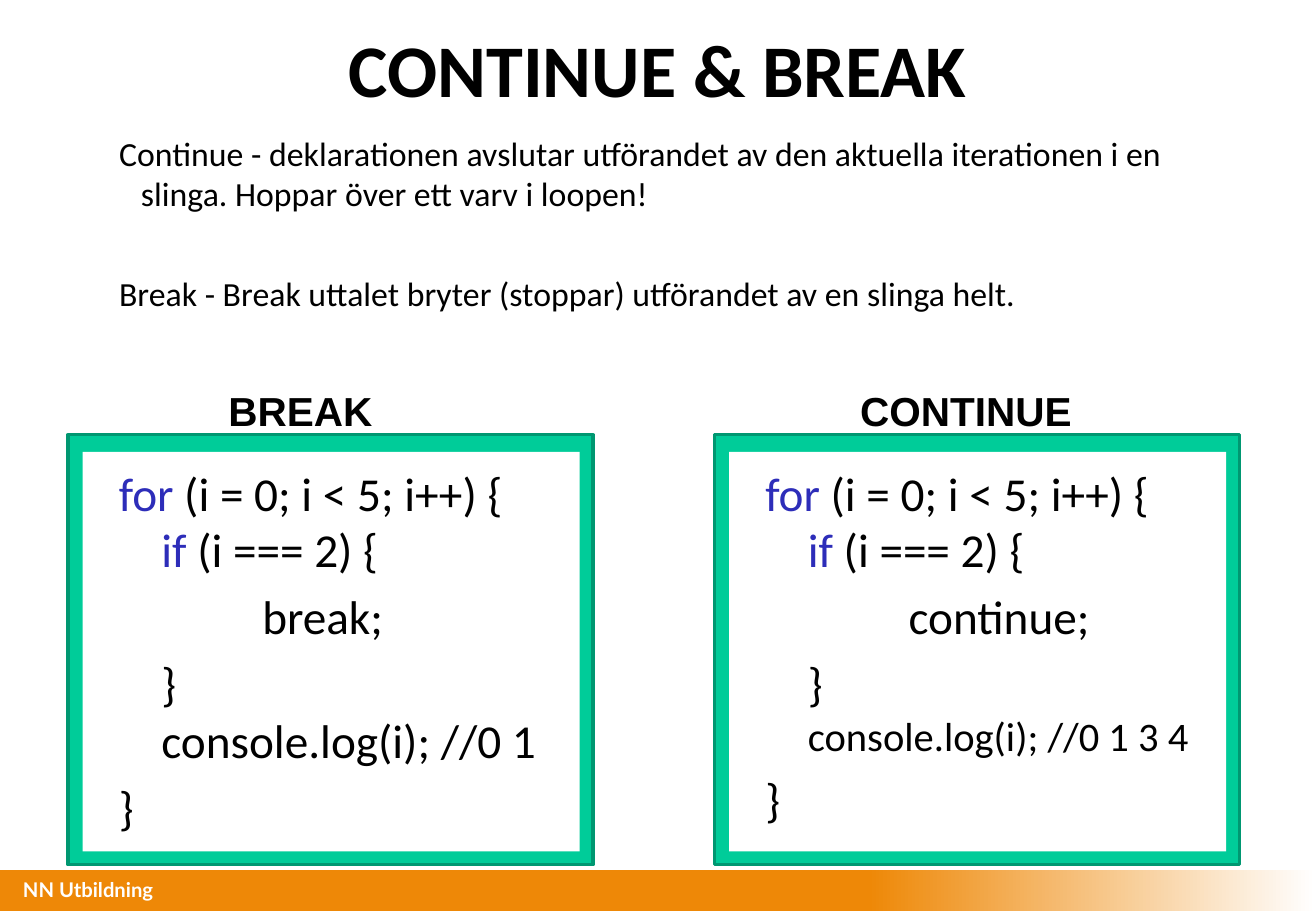
from pptx import Presentation
from pptx.dml.color import RGBColor
from pptx.enum.shapes import MSO_SHAPE
from pptx.enum.text import MSO_ANCHOR, MSO_AUTO_SIZE, PP_ALIGN
from pptx.oxml.xmlchemy import OxmlElement
from pptx.util import Inches, Pt

RECTANGLE = MSO_SHAPE.RECTANGLE
TOP, MIDDLE = MSO_ANCHOR.TOP, MSO_ANCHOR.MIDDLE
LEFT, CENTER = PP_ALIGN.LEFT, PP_ALIGN.CENTER
NO_AUTOFIT = MSO_AUTO_SIZE.NONE

BLACK = RGBColor(0x00, 0x00, 0x00)
WHITE = RGBColor(0xFF, 0xFF, 0xFF)
ORANGE = RGBColor(0xEE, 0x88, 0x07)
GREEN = RGBColor(0x00, 0xCC, 0x99)
DARK_GREEN = RGBColor(0x00, 0x97, 0x71)
KEYWORD_BLUE = RGBColor(0x2D, 0x2D, 0xB9)

SLIDE_WIDTH, SLIDE_HEIGHT = Inches(10.83), Inches(7.5)
PANEL_STEP = 49.12  # percent of the slide's width from one panel to the next
HANGING = dict(indent=0.38, first=-0.18)

DEFINITIONS = [
    ("Continue - deklarationen avslutar utförandet av den aktuella iterationen "
     "i en slinga. Hoppar över ett varv i loopen!", 6),
    ("Break - Break uttalet bryter (stoppar) utförandet av en slinga helt.", 35),
]
# Heading, its left and width in percent, statement, log line, size of log line
EXAMPLES = [
    ("BREAK", 16.44, 12.93, "break;", "console.log(i); //0 1", 28),
    ("CONTINUE", 64.45, 18.1, "continue;", "console.log(i); //0 1 3 4", 24),
]


def area(left, top, width, height):
    """Turn percentages of the slide into lengths."""
    return (int(SLIDE_WIDTH * left / 100), int(SLIDE_HEIGHT * top / 100),
            int(SLIDE_WIDTH * width / 100), int(SLIDE_HEIGHT * height / 100))


def move(shape, *shares):
    shape.left, shape.top, shape.width, shape.height = area(*shares)


def prepare_frame(shape, inset=0.1, anchor=TOP, wrap=True):
    frame = shape.text_frame
    frame.auto_size = NO_AUTOFIT
    frame.word_wrap = wrap
    frame.vertical_anchor = anchor
    frame.margin_left = frame.margin_right = Inches(inset)
    frame.margin_top = frame.margin_bottom = Inches(inset)
    return frame


def add_text(frame, text, size=20, font="Calibri", color=BLACK, bold=False,
             align=LEFT, before=0, indent=0, first=0, keyword=""):
    """Write one paragraph, with an optional coloured keyword in front."""
    para = frame.paragraphs[0]
    if para.runs:
        para = frame.add_paragraph()
    para.alignment = align
    para.space_before = Pt(before)
    properties = para._p.get_or_add_pPr()
    properties.set("marL", str(Inches(indent)))
    properties.set("indent", str(Inches(first)))
    properties.append(OxmlElement("a:buNone"))
    for part, part_color in ((keyword, KEYWORD_BLUE), (text, color)):
        if part:
            span = para.add_run()
            span.text = part
            span.font.size = Pt(size)
            span.font.name = font
            span.font.bold = bold
            span.font.color.rgb = part_color


def add_box(page, shares, fill, line=None):
    box = page.shapes.add_shape(RECTANGLE, *area(*shares))
    box.shadow.inherit = False
    box.fill.solid()
    box.fill.fore_color.rgb = fill
    if line is None:
        box.line.fill.background()
    else:
        box.line.color.rgb = line
        box.line.width = Pt(2)
    return box


def add_label(page, text, shares, inset=0.1, wrap=False, **text_format):
    label = page.shapes.add_textbox(*area(*shares))
    frame = prepare_frame(label, inset, wrap=wrap)
    add_text(frame, text, bold=True, **text_format)


def add_footer(page):
    band = add_box(page, (0, 95.47, 100, 4.53), ORANGE)
    band.fill.gradient()
    band.fill.gradient_angle = 0
    stops = zip(band.fill.gradient_stops, (0.66, 1), (ORANGE, WHITE))
    for stop, position, color in stops:
        stop.position = position
        stop.color.rgb = color
    add_label(page, "NN Utbildning", (1.75, 96.27, 32.13, 2.67), inset=0,
              wrap=True, size=12, font="Lato", color=WHITE)


def add_example(page, column, heading, left, width, statement, log, log_size):
    shift = column * PANEL_STEP
    add_box(page, (5.17 + shift, 47.73, 39.89, 47.2), GREEN, DARK_GREEN)
    code = add_box(page, (6.28 + shift, 49.6, 37.77, 43.87), WHITE)
    add_label(page, heading, (left, 41.07, width, 6.67), size=24, font="Arial")

    frame = prepare_frame(code)
    nested = dict(size=28, indent=0.55)
    outer = dict(size=28, before=6, **HANGING)
    add_text(frame, " (i = 0; i < 5; i++) {", keyword="for", **outer)
    add_text(frame, " (i === 2) {", keyword="if", **nested)
    add_text(frame, statement, size=28, indent=1.38, before=6)
    add_text(frame, "}", before=6, **nested)
    add_text(frame, log, size=log_size, indent=0.55)
    add_text(frame, "}", **outer)


def main():
    deck = Presentation()
    deck.slide_width, deck.slide_height = SLIDE_WIDTH, SLIDE_HEIGHT
    page = deck.slides.add_slide(deck.slide_layouts[1])

    # Title and definitions
    title, body = page.placeholders
    move(title, 4.52, 1.73, 90.95, 11.47)
    add_text(prepare_frame(title, anchor=MIDDLE), "CONTINUE & BREAK",
             size=44, bold=True, align=CENTER)
    move(body, 6.28, 13.2, 87.44, 27.73)
    body_frame = prepare_frame(body)
    for text, before in DEFINITIONS:
        add_text(body_frame, text, before=before, **HANGING)

    # Footer band and code panels
    add_footer(page)
    for column, example in enumerate(EXAMPLES):
        add_example(page, column, *example)

    deck.save("out.pptx")


main()
